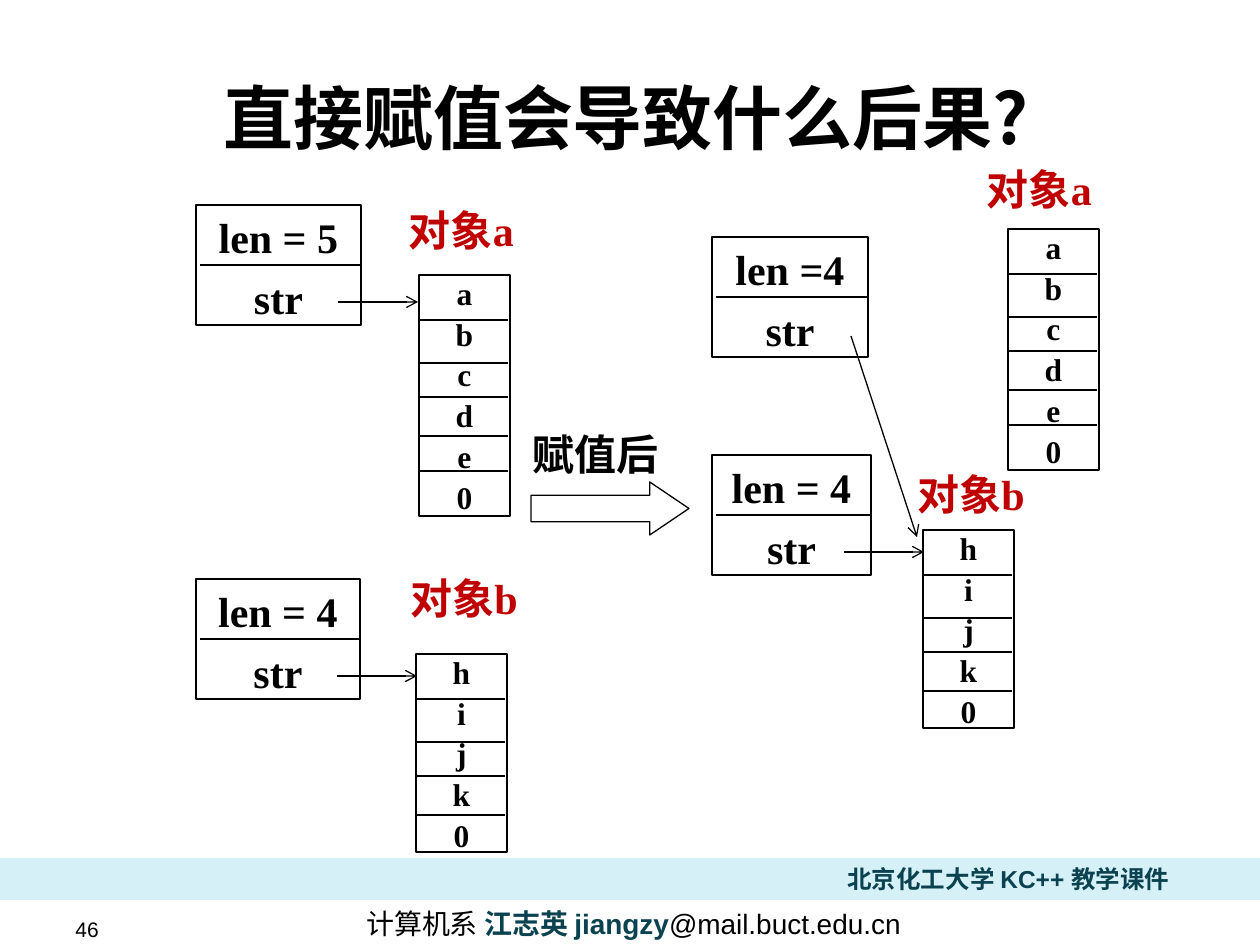
import pptx
import pptx.util
import pptx.dml.color
import pptx.enum.shapes
import pptx.enum.text
import pptx.oxml.ns
import lxml.etree

BLACK, WHITE, RED, TEAL, PALE = "000000", "FFFFFF", "C00000", "0A424F", "D5F0F7"
SERIF, SANS, CJK = "Times New Roman", "Arial", "Noto Sans CJK SC"

TITLE = "直接赋值会导致什么后果?"
BAND = (0, 858, 1260, 42)
COURSE = "北京化工大学 KC++ 教学课件"
CONTACT = [("计算机系 ", BLACK, False), ("江志英 jiangzy", TEAL, True),
           ("@mail.buct.edu.cn", BLACK, False)]
PAGE = "46"

LABELS = [
    ("对象b", (389, 566, 150, 63), RED, WHITE),
    ("对象a", (387, 198, 149, 63), RED, WHITE),
    ("赋值后", (513, 422, 165, 64), BLACK, None),
    ("对象a", (964, 157, 151, 63), RED, None),
    ("对象b", (891, 462, 160, 63), RED, None),
]
RECORDS = [
    ("len = 5", 196, 205, 165),
    ("len = 4", 196, 579, 164),
    ("len =4", 712, 237, 156),
    ("len = 4", 712, 455, 159),
]
STRINGS = [
    ("abcde0", 419, 275),
    ("hijk0", 416, 654),
    ("hijk0", 923, 530),
    ("abcde0", 1008, 229),
]
POINTERS = [
    (338, 302, 418, 302),
    (337, 676, 417, 676),
    (851, 336, 917, 537),
    (844, 552, 924, 552),
]
ASSIGN_ARROW = (531, 482, 158, 53)

RECORD_H, RECORD_SPLIT = 120, 60
STRING_W = 91
STRING_H = {5: 198, 6: 241}
STRING_SPLITS = [45, 88, 122, 161, 196]

ALIGN = pptx.enum.text.PP_ALIGN
ANCHOR = pptx.enum.text.MSO_ANCHOR
SHAPE = pptx.enum.shapes.MSO_SHAPE


def px(n):
    return round(n * 914400 / 126)


def color(value):
    return pptx.dml.color.RGBColor.from_string(value)


def add_shape(kind, box, fill=WHITE, line=BLACK):
    s = slide.shapes.add_shape(kind, *map(px, box))
    s.shadow.inherit = False
    s.fill.solid()
    s.fill.fore_color.rgb = color(fill)
    if line:
        s.line.color.rgb = color(line)
        s.line.width = pptx.util.Pt(0.75)
    else:
        s.line.fill.background()
    return s


def add_line(x1, y1, x2, y2, arrow=False):
    s = slide.shapes.add_connector(pptx.enum.shapes.MSO_CONNECTOR.STRAIGHT,
                                   *map(px, (x1, y1, x2, y2)))
    s.line.color.rgb = color(BLACK)
    s.line.width = pptx.util.Pt(0.75)
    if arrow:
        end = lxml.etree.SubElement(s.line._get_or_add_ln(), pptx.oxml.ns.qn("a:tailEnd"))
        end.set("type", "arrow")
    lxml.etree.SubElement(s._element.spPr, pptx.oxml.ns.qn("a:effectLst"))


def write(s, paragraphs, size, font=SERIF, ink=BLACK, bold=True, align=ALIGN.CENTER,
          anchor=ANCHOR.TOP, after=0, spacing=None, wrap=True):
    tf = s.text_frame
    tf.word_wrap = wrap
    tf.vertical_anchor = anchor
    for i, text in enumerate(paragraphs):
        p = tf.paragraphs[0] if i == 0 else tf.add_paragraph()
        p.alignment = align
        p.space_before = pptx.util.Pt(2 if i else 0)
        p.space_after = pptx.util.Pt(after)
        if spacing:
            p.line_spacing = spacing
        p.font.size = pptx.util.Pt(size)
        p.font.name = font
        if isinstance(text, str):
            p.font.bold = bold
            p.font.color.rgb = color(ink)
            p.add_run().text = text
            continue
        for part, part_ink, part_bold in text:
            r = p.add_run()
            r.text = part
            r.font.bold = part_bold
            r.font.color.rgb = color(part_ink)
    return tf


def add_text(box, paragraphs, size, **style):
    s = slide.shapes.add_textbox(*map(px, box))
    return write(s, paragraphs, size, **style)


def add_record(length, x, y, w):
    s = add_shape(SHAPE.RECTANGLE, (x, y, w, RECORD_H))
    write(s, [length, "str"], 24, after=4)
    add_line(x + 4, y + RECORD_SPLIT, x + w, y + RECORD_SPLIT)


def add_string(chars, x, y):
    s = add_shape(SHAPE.RECTANGLE, (x, y, STRING_W, STRING_H[len(chars)]))
    write(s, list(chars), 18, after=4, spacing=0.8)
    for split in STRING_SPLITS[:len(chars) - 1]:
        add_line(x, y + split, x + STRING_W - 2, y + split)


prs = pptx.Presentation()
prs.slide_width, prs.slide_height = px(1260), px(945)
slide = prs.slides.add_slide(prs.slide_layouts[6])

add_text((348, 910, 571, 26), [CONTACT], 16, font=SANS, anchor=ANCHOR.MIDDLE, wrap=False)
add_shape(SHAPE.RECTANGLE, BAND, PALE, None)
add_text((63, 917, 134, 25), [PAGE], 12, font=SANS, bold=False, align=ALIGN.JUSTIFY,
         anchor=ANCHOR.MIDDLE)
add_text((832, 858, 353, 72), [COURSE], 14, font=SANS, ink=TEAL)
tf = add_text((122, 73, 1008, 121), [TITLE], 40, font=CJK)
tf.margin_left = tf.margin_right = tf.margin_top = tf.margin_bottom = px(1)

for text, box, ink, fill in LABELS:
    if fill:
        write(add_shape(SHAPE.RECTANGLE, box, fill, None), [text], 24, ink=ink, after=4)
    else:
        add_text(box, [text], 24, ink=ink, after=4)
for record in RECORDS:
    add_record(*record)
for string in STRINGS:
    add_string(*string)
for pointer in POINTERS:
    add_line(*pointer, arrow=True)
s = add_shape(SHAPE.RIGHT_ARROW, ASSIGN_ARROW)
s.adjustments[0], s.adjustments[1] = 0.5, 0.74

prs.save("out.pptx")
